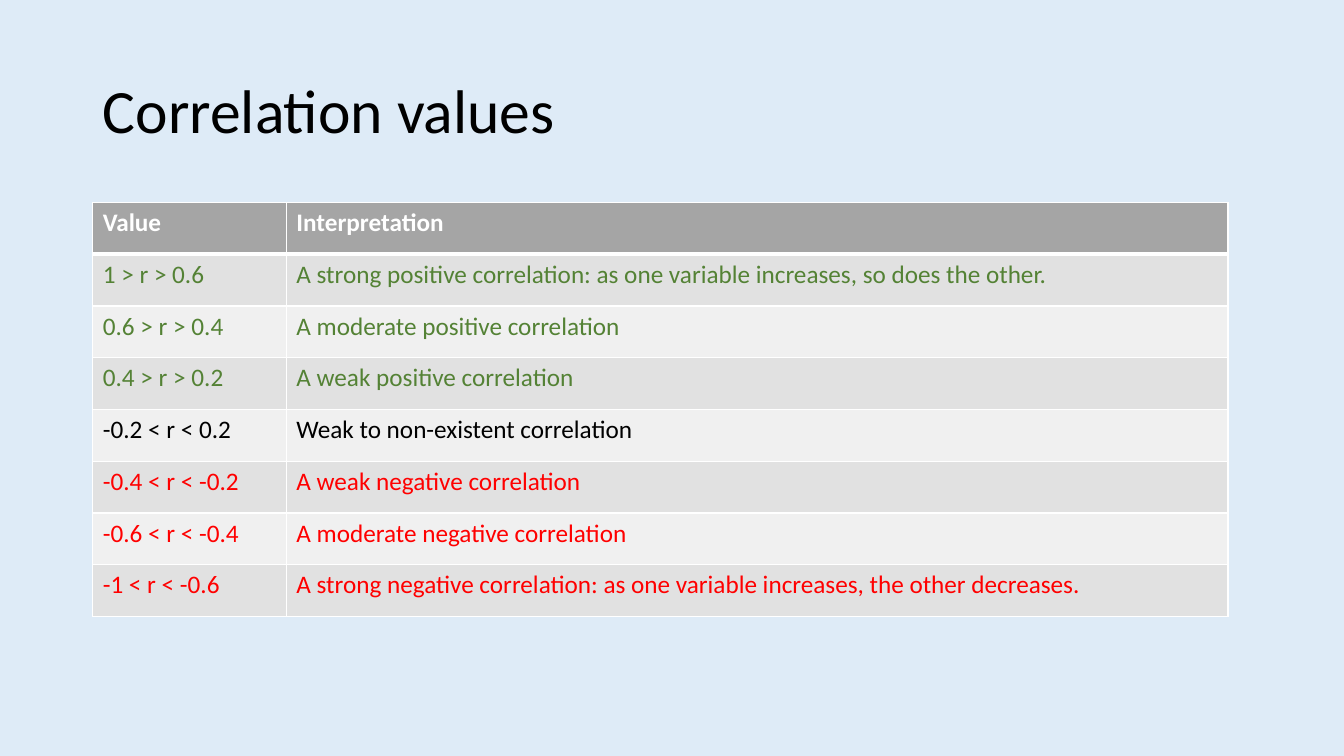
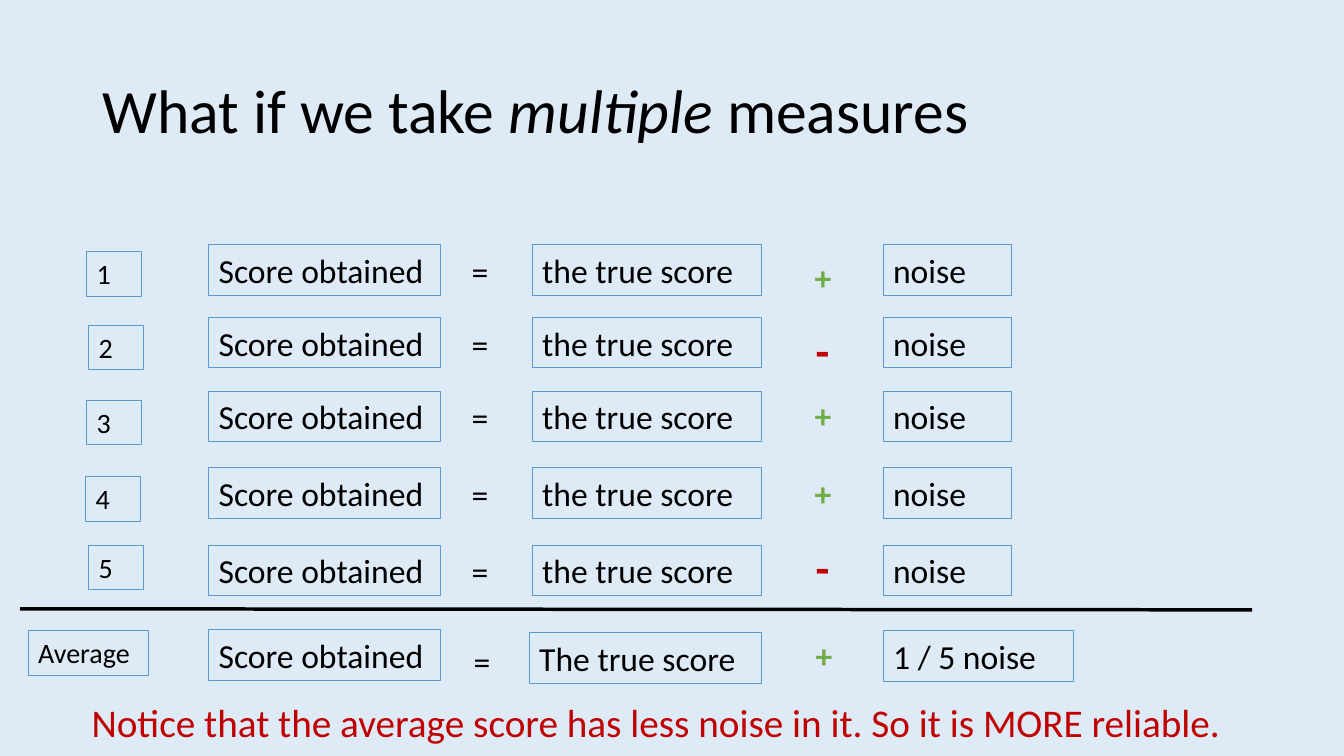
from lxml.etree import SubElement
from pptx import Presentation
from pptx.dml.color import RGBColor
from pptx.enum.shapes import MSO_CONNECTOR
from pptx.enum.text import MSO_ANCHOR, MSO_AUTO_SIZE, PP_ALIGN
from pptx.oxml.ns import qn
from pptx.util import Inches, Pt

FONT = "Calibri"
PALE, BLACK, WHITE = "DEEBF7", "000000", "FFFFFF"
GREY, DARK, LIGHT = "A5A5A5", "E1E1E1", "F0F0F0"
BLUE, GREEN, LEAF, RED, WINE = "5B9BD5", "70AD47", "548235", "FF0000", "C00000"
hue = RGBColor.from_string


def write(par, text, size, tint=BLACK, bold=False, slant=False):
    run = par.add_run()
    run.text = text
    run.font.name = FONT
    run.font.size = Pt(size)
    run.font.bold = bold
    run.font.italic = slant
    run.font.color.rgb = hue(tint)


def box(slide, text, left, top, width, height=0.5, size=24, tint=BLACK, bold=False, edge=None):
    shape = slide.shapes.add_textbox(Inches(left), Inches(top), Inches(width), Inches(height))
    frame = shape.text_frame
    frame.word_wrap = True
    frame.auto_size = MSO_AUTO_SIZE.SHAPE_TO_FIT_TEXT
    if edge:
        shape.line.color.rgb = hue(edge)
        shape.line.width = Pt(0.75)
    write(frame.paragraphs[0], text, size, tint, bold)


deck = Presentation()
deck.slide_width = Inches(13.33)
deck.slide_height = Inches(7.5)
back = deck.slide_master.background.fill
back.solid()
back.fore_color.rgb = hue(PALE)

titles = [
    [("Correlation values", False)],
    [("What if we take ", False), ("multiple", True), (" measures", False)],
]
slides = []
for parts in titles:
    slide = deck.slides.add_slide(deck.slide_layouts[5])
    title = slide.shapes.title
    title.left, title.top = Inches(0.92), Inches(0.4)
    title.width, title.height = Inches(11.5), Inches(1.45)
    title.text_frame.vertical_anchor = MSO_ANCHOR.MIDDLE
    par = title.text_frame.paragraphs[0]
    par.alignment = PP_ALIGN.LEFT
    par.line_spacing = 0.9
    for text, slant in parts:
        write(par, text, 44, slant=slant)
    slides.append(slide)
values, scores = slides

rows = [
    ("Value", "Interpretation", WHITE),
    ("1 > r > 0.6", "A strong positive correlation: as one variable increases, so does the other.", LEAF),
    ("0.6 > r > 0.4", "A moderate positive correlation", LEAF),
    ("0.4 > r > 0.2", "A weak positive correlation", LEAF),
    ("-0.2 < r < 0.2", "Weak to non-existent correlation", BLACK),
    ("-0.4 < r < -0.2", "A weak negative correlation", RED),
    ("-0.6 < r < -0.4", "A moderate negative correlation", RED),
    ("-1 < r < -0.6", "A strong negative correlation: as one variable increases, the other decreases.", RED),
]
table = values.shapes.add_table(
    len(rows), 2, Inches(0.92), Inches(2.01), Inches(11.26), Inches(4.11)
).table
table.columns[0].width = Inches(1.92)
table.columns[1].width = Inches(9.34)
for r, (value, sense, tint) in enumerate(rows):
    for c, text in enumerate((value, sense)):
        cell = table.cell(r, c)
        props = cell._tc.get_or_add_tcPr()
        for side in "LRTB":
            thick = 3 if (r, side) in ((0, "B"), (1, "T")) else 1
            line = SubElement(props, qn(f"a:ln{side}"), w=str(Pt(thick)))
            fill = SubElement(line, qn("a:solidFill"))
            SubElement(fill, qn("a:srgbClr"), val=WHITE)
        cell.fill.solid()
        cell.fill.fore_color.rgb = hue(GREY if r == 0 else DARK if r % 2 else LIGHT)
        write(cell.text_frame.paragraphs[0], text, 18, tint, bold=r == 0)

tests = [
    (2.43, 0.86, 2.5, "+", 2.5),
    (3.15, 0.88, 3.23, "-", 3.15),
    (3.88, 0.86, 3.97, "+", 3.87),
    (4.64, 0.85, 4.73, "+", 4.64),
    (5.41, 0.88, 5.41, "-", 5.31),
]
for count, (top, left, level, sign, rise) in enumerate(tests, 1):
    box(scores, str(count), left, level, 0.54, 0.44, 20, edge=BLUE)
    box(scores, "Score obtained", 2.07, top, 2.3, edge=BLUE)
    box(scores, "=", 4.58, top + 0.01, 0.47)
    box(scores, "the true score", 5.28, top, 2.27, edge=BLUE)
    box(scores, "noise", 8.76, top, 1.27, edge=BLUE)
    if sign == "+":
        box(scores, sign, 7.98, rise, 0.35, tint=GREEN, bold=True)
    else:
        box(scores, sign, 7.99, rise, 0.35, 0.64, 32, WINE, True)

rule = scores.shapes.add_connector(
    MSO_CONNECTOR.STRAIGHT, Inches(0.2), Inches(6.04), Inches(12.42), Inches(6.05)
)
rule.line.color.rgb = hue(BLACK)
rule.line.width = Pt(2.5)
SubElement(rule._element.spPr, qn("a:effectLst"))

box(scores, "Average", 0.28, 6.26, 1.19, 0.44, 20, edge=BLUE)
box(scores, "Score obtained", 2.07, 6.25, 2.3, edge=BLUE)
box(scores, "=", 4.6, 6.31, 0.47)
box(scores, "The true score", 5.25, 6.28, 2.3, edge=BLUE)
box(scores, "+", 7.99, 6.25, 0.35, tint=GREEN, bold=True)
box(scores, "1 / 5 noise", 8.76, 6.26, 1.89, edge=BLUE)
box(
    scores,
    "Notice that the average score has less noise in it. So it is MORE reliable.",
    0.81, 6.88, 11.6, 0.57, 28, WINE,
)

deck.save("out.pptx")
